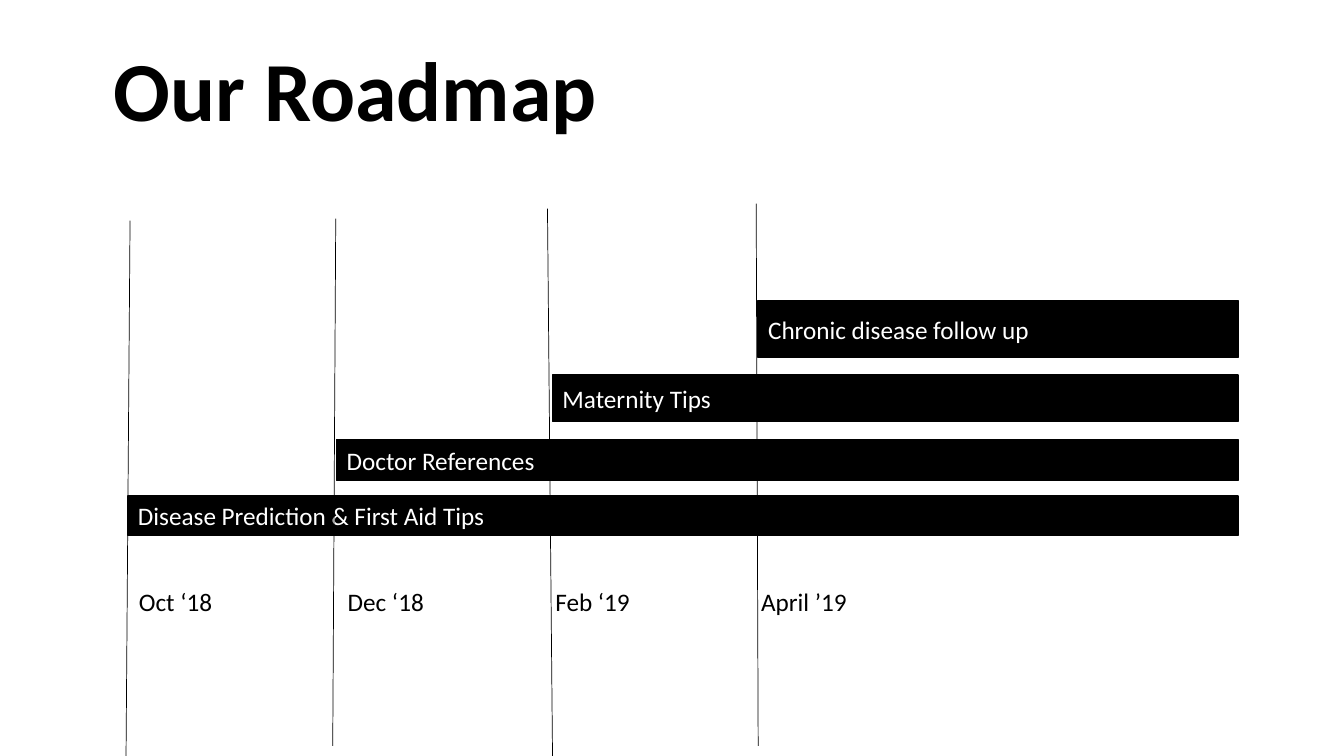
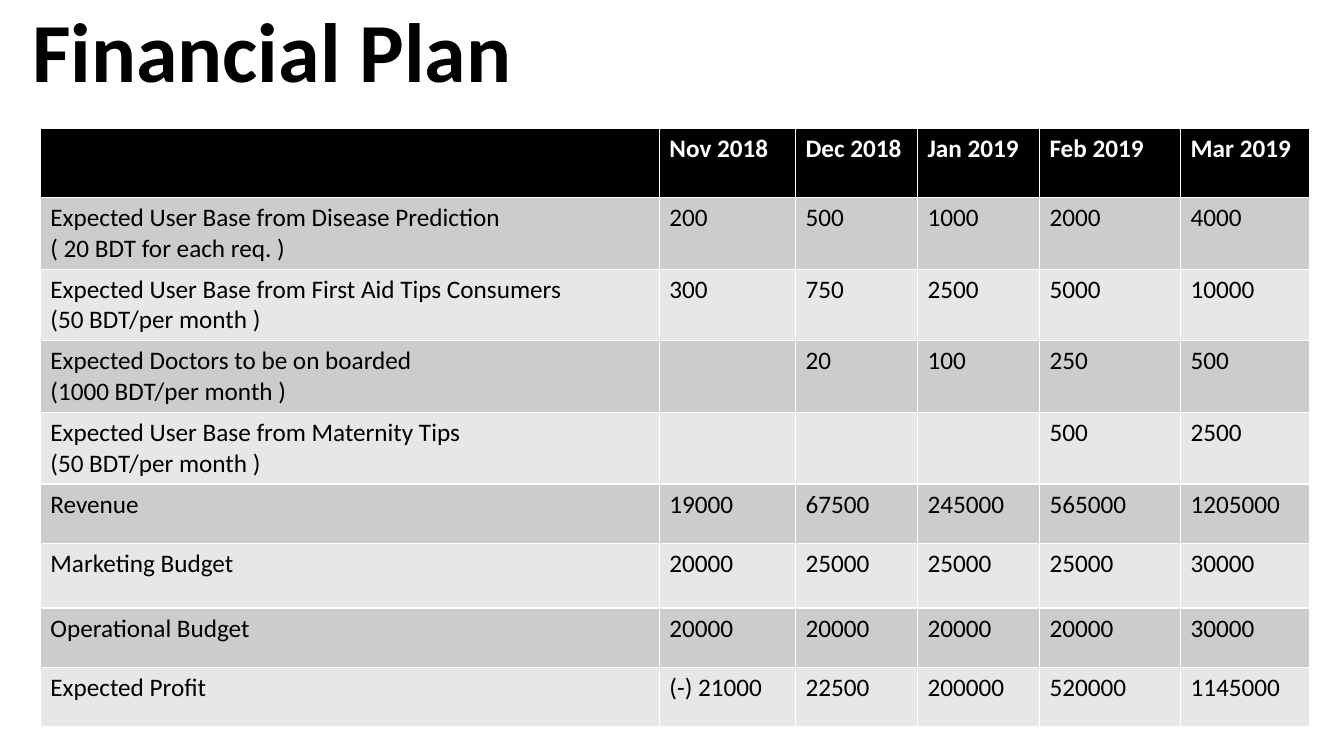
from lxml import etree
from pptx import Presentation
from pptx.dml.color import RGBColor
from pptx.enum import shapes, text
from pptx.oxml import ns
from pptx.util import Inches, Pt

BLACK = RGBColor(0x00, 0x00, 0x00)
WHITE = RGBColor(0xFF, 0xFF, 0xFF)
BAND_DARK = RGBColor(0xCC, 0xCC, 0xCC)
BAND_LIGHT = RGBColor(0xE7, 0xE7, 0xE7)
FONT = "Calibri"

prs = Presentation()
prs.slide_width = Inches(13.33)
prs.slide_height = Inches(7.5)


def style(paragraph, color, size=18, bold=False):
    """Left-align a paragraph and set its font."""
    paragraph.alignment = text.PP_ALIGN.LEFT
    font = paragraph.font
    font.name, font.size, font.bold = FONT, Pt(size), bold
    font.color.rgb = color


def add_titled_slide(heading, left, top):
    slide = prs.slides.add_slide(prs.slide_layouts[5])
    title = slide.shapes.title
    title.left, title.top = Inches(left), Inches(top)
    title.width, title.height = Inches(11.5), Inches(1.45)
    title.text_frame.text = heading
    title.text_frame.auto_size = text.MSO_AUTO_SIZE.NONE
    title.text_frame.vertical_anchor = text.MSO_ANCHOR.MIDDLE
    paragraph = title.text_frame.paragraphs[0]
    paragraph.line_spacing = 0.9
    style(paragraph, BLACK, 60, True)
    return slide


# Roadmap: each feature runs from its launch date to the right edge
roadmap = add_titled_slide("Our Roadmap", 1.03, 0.21)

BARS_RIGHT = 12.28
features = [
    ("Disease Prediction & First Aid Tips", 1.27, 4.92, 0.39),
    ("Doctor References", 3.34, 4.36, 0.41),
    ("Maternity Tips", 5.48, 3.72, 0.46),
    ("Chronic disease follow up", 7.52, 2.98, 0.57),
]
for name, left, top, height in features:
    bar = roadmap.shapes.add_shape(
        shapes.MSO_SHAPE.RECTANGLE, Inches(left), Inches(top),
        Inches(BARS_RIGHT - left), Inches(height))
    bar.shadow.inherit = False
    bar.fill.solid()
    bar.fill.fore_color.rgb = BLACK
    bar.line.color.rgb = BLACK
    bar.line.width = Pt(1)
    bar.text_frame.text = name
    bar.text_frame.vertical_anchor = text.MSO_ANCHOR.MIDDLE
    style(bar.text_frame.paragraphs[0], WHITE)

date_lines = [
    (1.29, 2.19, 1.25, 7.5),
    (3.33, 2.17, 3.3, 7.4),
    (5.43, 2.07, 5.48, 7.5),
    (7.5, 2.02, 7.52, 7.4),
]
for ends in date_lines:
    date_line = roadmap.shapes.add_connector(
        shapes.MSO_CONNECTOR.STRAIGHT, *[Inches(end) for end in ends])
    date_line.line.color.rgb = BLACK
    date_line.line.width = Pt(0.5)
    etree.SubElement(date_line.element.spPr, ns.qn("a:effectLst"))

dates = roadmap.shapes.add_textbox(Inches(1.28), Inches(5.77), Inches(11), Inches(0.4))
dates.text_frame.word_wrap = True
dates.text_frame.text = "Oct ‘18\tDec ‘18\tFeb ‘19\tApril ’19"
date_row = dates.text_frame.paragraphs[0]
style(date_row, BLACK)
tab_stops = etree.Element(ns.qn("a:tabLst"))
for position in (2.07, 4.13, 6.17):
    etree.SubElement(tab_stops, ns.qn("a:tab"), pos=str(Inches(position)), algn="l")
date_row.font  # the default run properties must follow the tab stops
date_row._p.pPr.find(ns.qn("a:defRPr")).addprevious(tab_stops)

# Financial plan: the table style supplies the white rules
finance = add_titled_slide("Financial Plan", 0.22, -0.18)

plan = [
    ("", "Nov 2018", "Dec 2018", "Jan 2019", "Feb 2019", "Mar 2019"),
    ("Expected User Base from Disease Prediction\n( 20 BDT for each req. )",
     "200", "500", "1000", "2000", "4000"),
    ("Expected User Base from First Aid Tips Consumers\n(50 BDT/per month )",
     "300", "750", "2500", "5000", "10000"),
    ("Expected Doctors to be on boarded\n(1000 BDT/per month )",
     "", "20", "100", "250", "500"),
    ("Expected User Base from Maternity Tips\n(50 BDT/per month )",
     "", "", "", "500", "2500"),
    ("Revenue", "19000", "67500", "245000", "565000", "1205000"),
    ("Marketing Budget", "20000", "25000", "25000", "25000", "30000"),
    ("Operational Budget", "20000", "20000", "20000", "20000", "30000"),
    ("Expected Profit", "(-) 21000", "22500", "200000", "520000", "1145000"),
]
column_widths = [6.14, 1.35, 1.21, 1.21, 1.4, 1.28]
row_heights = [0.69] + [0.71] * 4 + [0.59, 0.64, 0.59, 0.59]

table = finance.shapes.add_table(
    len(plan), len(column_widths), Inches(0.4), Inches(1.27),
    Inches(sum(column_widths)), Inches(sum(row_heights))).table
for column, width in zip(table.columns, column_widths):
    column.width = Inches(width)
for row, height in zip(table.rows, row_heights):
    row.height = Inches(height)

for r, values in enumerate(plan):
    header = r == 0
    fill = BLACK if header else BAND_DARK if r % 2 else BAND_LIGHT
    for c, value in enumerate(values):
        cell = table.cell(r, c)
        cell.fill.solid()
        cell.fill.fore_color.rgb = fill
        cell.text = value
        for paragraph in cell.text_frame.paragraphs:
            style(paragraph, WHITE if header else BLACK, bold=header)

prs.save("out.pptx")
